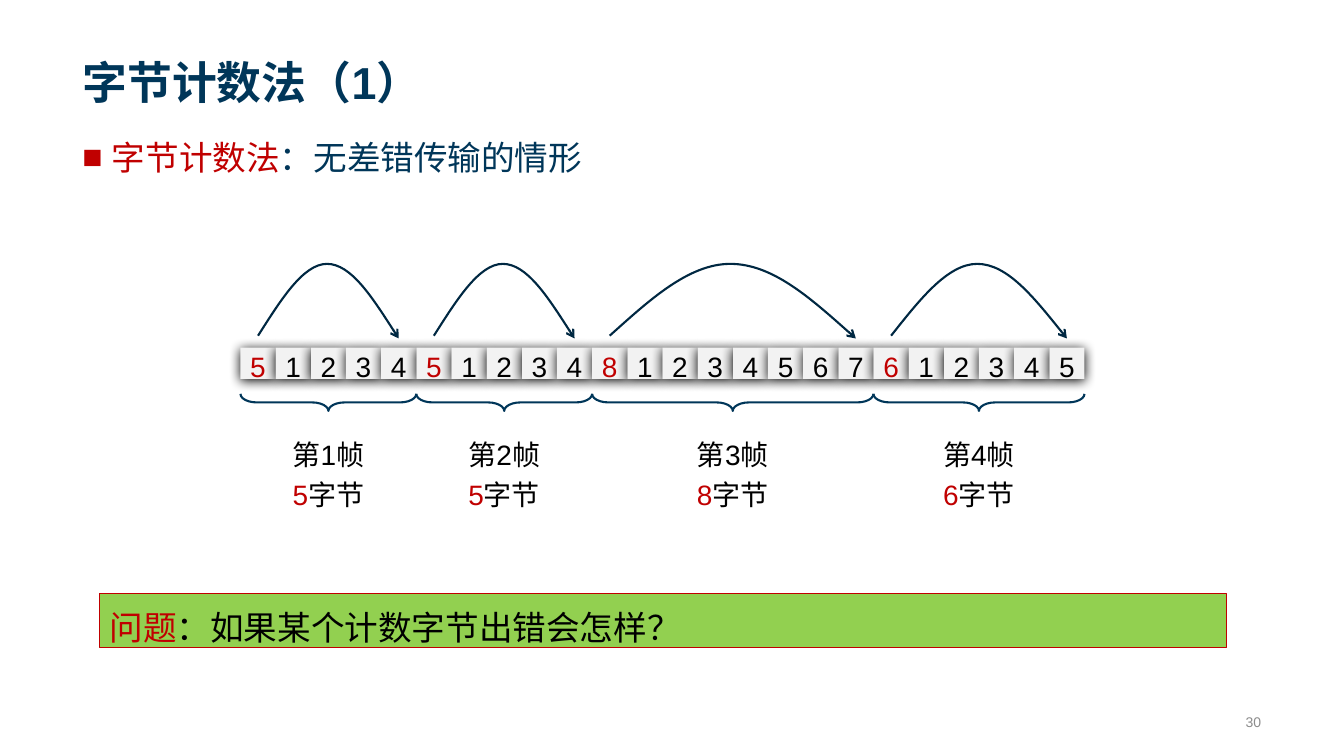
from itertools import accumulate

from lxml import etree
from pptx import Presentation, util as u
from pptx.dml.color import RGBColor
from pptx.enum import shapes, text
from pptx.oxml import ns

NAVY = RGBColor(0x00, 0x36, 0x59)
DARK_NAVY = RGBColor(0x00, 0x28, 0x42)
RED = RGBColor(0xC0, 0x00, 0x00)
BLACK = RGBColor(0x00, 0x00, 0x00)
GREY = RGBColor(0x8C, 0x8C, 0x8C)
PALE = RGBColor(0xF2, 0xF2, 0xF2)
GREEN = RGBColor(0x92, 0xD0, 0x50)

FRAME_SIZES = [5, 5, 8, 6]
ROW_LEFT, ROW_TOP, ROW_WIDTH, CELL_HEIGHT = 6.06, 8.76, 21.27, 0.79
CELL_WIDTH = ROW_WIDTH / sum(FRAME_SIZES)
LABEL_WIDTH = 2.64
BRACE_DEPTH, BRACE_MIDDLE = 0.43, 10.14
ARC_POINTS = [(0.16, 7.57), (0.32, 6.65), (0.49, 6.65),
              (0.66, 6.65), (0.83, 7.59), (1, 8.53)]


def child(parent, tag, **attrs):
    return etree.SubElement(parent, ns.qn(tag), attrs)


class SlideBuilder:
    font = "Arial"

    def __init__(self, prs):
        self.slide = prs.slides.add_slide(prs.slide_layouts[6])

    def set_runs(self, p, runs, size, align=text.PP_ALIGN.LEFT, spacing=1.2, bold=False):
        p.alignment = align
        p.line_spacing = spacing
        p.font.name = self.font
        p.font.size = u.Pt(size)
        p.font.bold = bold
        for words, color in runs:
            r = p.add_run()
            r.text = words
            r.font.color.rgb = color

    def textbox(self, x, y, w, h, paragraphs, size, anchor=text.MSO_ANCHOR.TOP,
                bullet=None, **style):
        s = self.slide.shapes.add_textbox(u.Cm(x), u.Cm(y), u.Cm(w), u.Cm(h))
        tf = s.text_frame
        tf.word_wrap = True
        tf.vertical_anchor = anchor
        for i, runs in enumerate(paragraphs):
            p = tf.add_paragraph() if i else tf.paragraphs[0]
            if bullet:
                self.add_bullet(p, bullet)
            self.set_runs(p, runs, size, **style)

    def add_bullet(self, p, bullet):
        pPr = p._p.get_or_add_pPr()
        indent = u.Cm(0.74)
        pPr.set("marL", str(indent))
        pPr.set("indent", str(-indent))
        child(pPr, "a:buFont", typeface=self.font)
        child(pPr, "a:buChar", char=bullet)

    def box(self, x, y, w, h, runs, size, fill, line=None, align=text.PP_ALIGN.LEFT):
        s = self.slide.shapes.add_shape(
            shapes.MSO_SHAPE.RECTANGLE, u.Cm(x), u.Cm(y), u.Cm(w), u.Cm(h))
        s.shadow.inherit = False
        s.fill.solid()
        s.fill.fore_color.rgb = fill
        if line is None:
            s.line.fill.background()
        else:
            s.line.color.rgb = line
            s.line.width = u.Pt(0.75)
        s.text_frame.vertical_anchor = text.MSO_ANCHOR.TOP
        self.set_runs(s.text_frame.paragraphs[0], runs, size, align)
        return s

    def cell(self, x, digit, color):
        s = self.box(x, ROW_TOP, CELL_WIDTH, CELL_HEIGHT, [(digit, color)], 20,
                     PALE, align=text.PP_ALIGN.CENTER)
        tf = s.text_frame
        tf.word_wrap = False
        tf.vertical_anchor = text.MSO_ANCHOR.MIDDLE
        tf.margin_left = tf.margin_right = u.Cm(0.05)
        effects = s._element.spPr.find(ns.qn("a:effectLst"))
        shadow = child(effects, "a:outerShdw", blurRad=str(u.Pt(8.5)),
                       dist=str(u.Pt(1)), dir="5400000", algn="t", rotWithShape="0")
        child(shadow, "a:srgbClr", val=str(BLACK))

    def outline(self, s, color):
        s.shadow.inherit = False
        s.fill.background()
        s.line.color.rgb = color
        s.line.width = u.Pt(1.5)

    def brace(self, center, width):
        s = self.slide.shapes.add_shape(
            shapes.MSO_SHAPE.LEFT_BRACE, u.Cm(center - BRACE_DEPTH / 2),
            u.Cm(BRACE_MIDDLE - width / 2), u.Cm(BRACE_DEPTH), u.Cm(width))
        s.rotation = 270
        s.adjustments[0] = 0.95
        self.outline(s, NAVY)

    def arc(self, x, span):
        builder = self.slide.shapes.build_freeform(u.Cm(x), u.Cm(8.46))
        builder.add_line_segments(
            [(u.Cm(x + span * t), u.Cm(y)) for t, y in ARC_POINTS], close=False)
        s = builder.convert_to_shape()
        self.outline(s, DARK_NAVY)
        child(s._element.spPr.find(ns.qn("a:ln")), "a:tailEnd", type="arrow")
        route = next(s._element.iter(ns.qn("a:path")))
        segments = route.findall(ns.qn("a:lnTo"))
        for i in range(0, len(segments), 3):
            curve = child(route, "a:cubicBezTo")
            for segment in segments[i:i + 3]:
                curve.append(segment[0])
                route.remove(segment)

    def frame(self, number, size, first):
        x = ROW_LEFT + first * CELL_WIDTH
        width = size * CELL_WIDTH
        center = x + width / 2
        self.brace(center, width)
        self.textbox(center - LABEL_WIDTH / 2, 10.72, LABEL_WIDTH, 2.21,
                     [[(f"第{number}帧", BLACK)], [(str(size), RED), ("字节", BLACK)]],
                     20, align=text.PP_ALIGN.CENTER)
        for i in range(size):
            self.cell(x + i * CELL_WIDTH, str(i or size), BLACK if i else RED)
        self.arc(x + CELL_WIDTH / 2, width - CELL_WIDTH)


def main():
    prs = Presentation()
    prs.slide_width, prs.slide_height = u.Cm(33.87), u.Cm(19.05)
    page = SlideBuilder(prs)
    page.textbox(1.83, 0.36, 30.18, 2.49, [[("字节计数法（1）", NAVY)]], 32,
                 anchor=text.MSO_ANCHOR.BOTTOM, spacing=1, bold=True)
    page.textbox(1.83, 3.12, 30.18, 13.92,
                 [[("字节计数法", RED), ("：无差错传输的情形", NAVY)]], 24, bullet="■")
    page.textbox(29.79, 17.81, 2.24, 0.76, [[("30", GREY)]], 10,
                 anchor=text.MSO_ANCHOR.MIDDLE, align=text.PP_ALIGN.RIGHT, spacing=1)
    starts = accumulate(FRAME_SIZES, initial=0)
    for number, (size, first) in enumerate(zip(FRAME_SIZES, starts), 1):
        page.frame(number, size, first)
    page.box(2.51, 14.96, 28.4, 1.37,
             [("问题", RED), ("：如果某个计数字节出错会怎样？", BLACK)], 24, GREEN, RED)
    prs.save("out.pptx")


if __name__ == "__main__":
    main()
